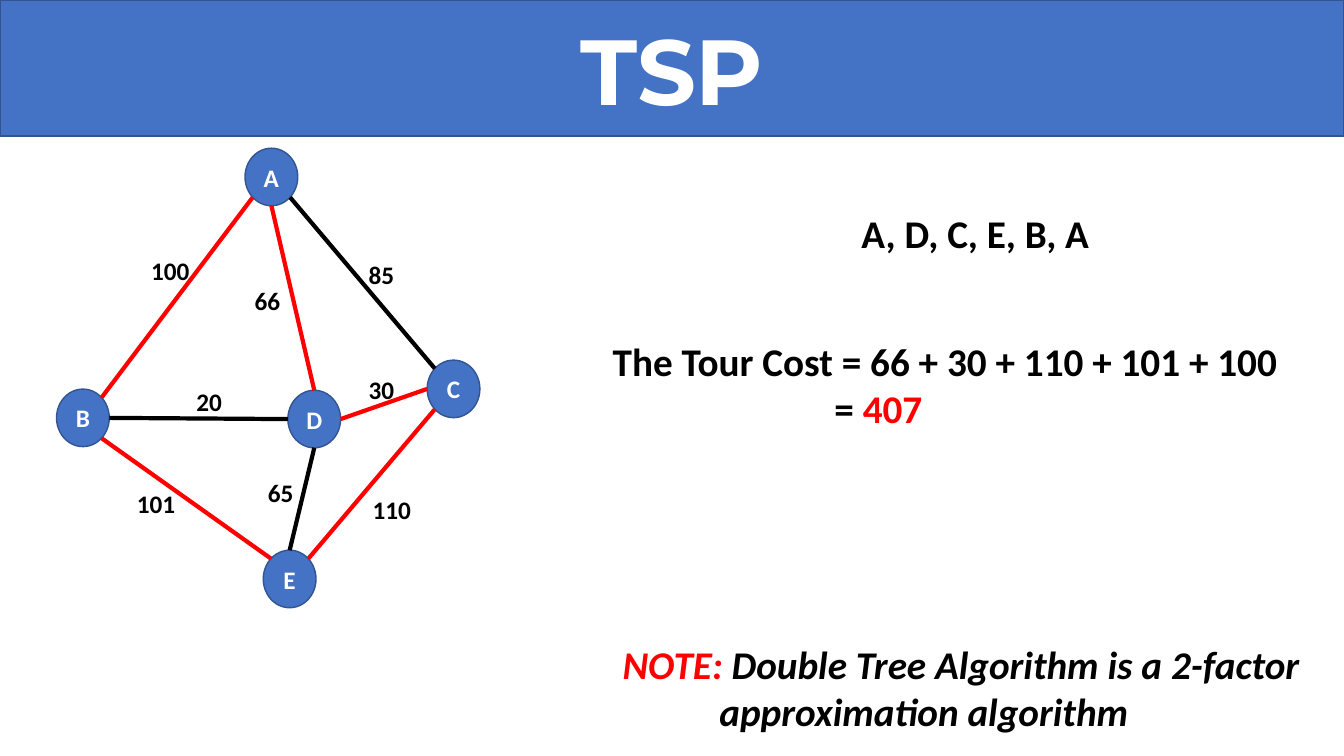
"""Build a slide with a travelling salesman tour on a weighted graph."""
import lxml.etree
import pptx
import pptx.dml.color
import pptx.enum.shapes
import pptx.enum.text
import pptx.oxml.ns
import pptx.util

Cm = pptx.util.Cm
Pt = pptx.util.Pt

COLORS = {"blue": "4472C4", "edge": "325491", "red": "FF0000",
          "black": "000000", "white": "FFFFFF"}
TITLE = "TSP"
TOUR = "ADCEBA"
NODE_W, NODE_H = 1.33, 1.45
LABEL_W, LABEL_H = 1.63, 0.94

NODES = {"B": (2.09, 10.53), "E": (7.3, 14.59), "C": (11.43, 9.8),
         "A": (6.84, 4.46), "D": (7.92, 10.56)}

SIDES = {"n": (0, -1), "s": (0, 1), "w": (-1, 0), "e": (1, 0),
         "nw": (-0.71, -0.71), "ne": (0.71, -0.71),
         "sw": (-0.71, 0.71), "se": (0.71, 0.71)}

EDGES = [
    ("B", "ne", "A", "sw", "100", (3.56, 6.3)),
    ("A", "se", "C", "nw", "85", (9.04, 6.4)),
    ("B", "e", "D", "w", "20", (4.7, 9.6)),
    ("D", "n", "A", "s", "66", (6.17, 7.06)),
    ("D", "e", "C", "w", "30", (9.04, 9.32)),
    ("B", "se", "E", "nw", "101", (3.2, 12.19)),
    ("E", "ne", "C", "sw", "110", (9.14, 12.34)),
    ("D", "s", "E", "n", "65", (6.5, 11.91)),
]

NOTES = [
    ((15.19, 8.38, 18.67, 2.64), False, [
        (0, [("The Tour Cost = 66 + 30 + 110 + 101 + 100", "black")]),
        (5.59, [("= ", "black"), ("407", "red")])]),
    ((15.44, 16, 18.42, 2.64), True, [
        (0, [("NOTE: ", "red"),
             ("Double Tree Algorithm is a 2-factor", "black")]),
        (2.44, [("approximation algorithm", "black")])]),
    ((21.46, 5.16, 12.4, 1.45), False, [
        (0, [("A, D, C, E, B, A", "black")])]),
]


def rgb(name):
    return pptx.dml.color.RGBColor.from_string(COLORS[name])


def paint(shape):
    shape.fill.solid()
    shape.fill.fore_color.rgb = rgb("blue")
    shape.line.color.rgb = rgb("edge")
    shape.line.width = Pt(1)


def write(para, text, size, color, face="Calibri", slant=False):
    run = para.add_run()
    run.text = text
    font = run.font
    font.name, font.size, font.bold = face, Pt(size), True
    font.italic = slant
    font.color.rgb = rgb(color)


def center(frame):
    frame.vertical_anchor = pptx.enum.text.MSO_ANCHOR.MIDDLE
    para = frame.paragraphs[0]
    para.alignment = pptx.enum.text.PP_ALIGN.CENTER
    return para


def add_title(slide):
    title = slide.shapes.title
    title.left, title.top = Cm(0), Cm(0)
    title.width, title.height = Cm(33.87), Cm(3.43)
    paint(title)
    title.text_frame.auto_size = pptx.enum.text.MSO_AUTO_SIZE.NONE
    write(center(title.text_frame), TITLE, 66, "white", "Montserrat")


def add_node(group, name, x, y):
    node = group.shapes.add_shape(
        pptx.enum.shapes.MSO_SHAPE.OVAL, Cm(x - NODE_W / 2),
        Cm(y - NODE_H / 2), Cm(NODE_W), Cm(NODE_H))
    node.shadow.inherit = False
    paint(node)
    write(center(node.text_frame), name, 18, "white")


def port(name, side):
    x, y = NODES[name]
    dx, dy = SIDES[side]
    return Cm(x + dx * NODE_W / 2), Cm(y + dy * NODE_H / 2)


def add_edge(group, start, end, color):
    edge = group.shapes.add_connector(
        pptx.enum.shapes.MSO_CONNECTOR.STRAIGHT, *start, *end)
    edge.line.color.rgb = rgb(color)
    edge.line.width = Pt(3)
    lxml.etree.SubElement(edge._element.spPr,
                          pptx.oxml.ns.qn("a:effectLst"))


def add_text(shapes, box, lines, size, slant=False):
    frame = shapes.add_textbox(*map(Cm, box)).text_frame
    frame.word_wrap = True
    for i, (indent, runs) in enumerate(lines):
        para = frame.add_paragraph() if i else frame.paragraphs[0]
        if indent:
            para._p.get_or_add_pPr().set("marL", str(Cm(indent)))
        for text, color in runs:
            write(para, text, size, color, slant=slant)


def add_graph(slide):
    group = slide.shapes.add_group_shape()
    steps = {frozenset(pair) for pair in zip(TOUR, TOUR[1:])}
    for name, (x, y) in NODES.items():
        add_node(group, name, x, y)
    for a, side_a, b, side_b, _, _ in EDGES:
        color = "red" if frozenset((a, b)) in steps else "black"
        add_edge(group, port(a, side_a), port(b, side_b), color)
    for *_, cost, spot in EDGES:
        add_text(group.shapes, (*spot, LABEL_W, LABEL_H),
                 [(0, [(cost, "black")])], 18)


def main():
    deck = pptx.Presentation()
    deck.slide_width, deck.slide_height = Cm(33.87), Cm(19.05)
    slide = deck.slides.add_slide(deck.slide_layouts[5])
    add_title(slide)
    add_graph(slide)
    for box, slant, lines in NOTES:
        add_text(slide.shapes, box, lines, 28, slant)
    deck.save("out.pptx")


if __name__ == "__main__":
    main()
